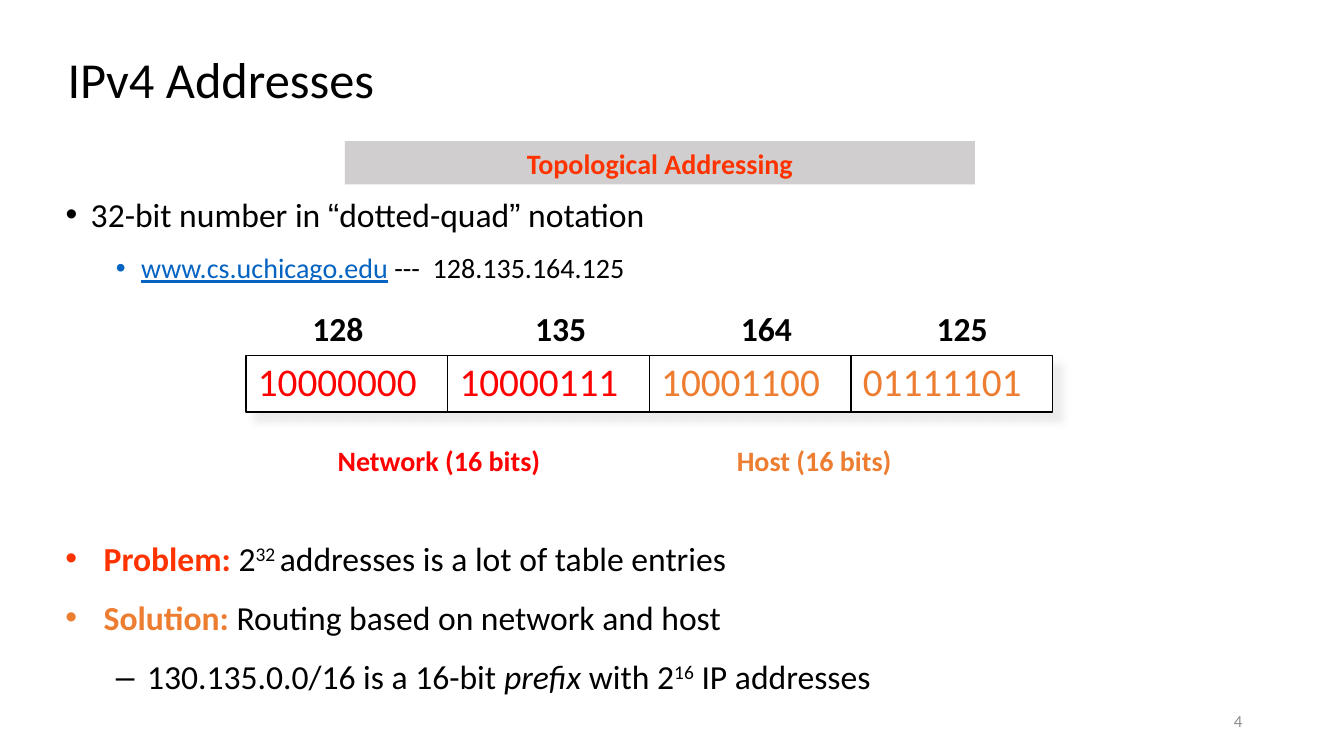
from lxml import etree
from pptx import Presentation
from pptx.dml.color import RGBColor
from pptx.enum.shapes import MSO_CONNECTOR, MSO_SHAPE
from pptx.enum.text import MSO_ANCHOR, MSO_AUTO_SIZE, PP_ALIGN
from pptx.oxml import parse_xml
from pptx.oxml.ns import qn
from pptx.util import Inches, Pt

LEFT, CENTER, RIGHT = PP_ALIGN.LEFT, PP_ALIGN.CENTER, PP_ALIGN.RIGHT
TOP, MIDDLE = MSO_ANCHOR.TOP, MSO_ANCHOR.MIDDLE
BLACK, RED, ORANGE, SCARLET, BLUE = "000000", "FF0000", "ED7D31", "FF3300", "0563C1"
GREY, WHITE, BANNER_FILL, SHADOW = "8C8C8C", "FFFFFF", "D0CECE", "E7E6E6"

# Content: a run is (text, format); a list item is
# (level, bullet, text indent, hanging, space before, size, runs)
TITLE = "IPv4 Addresses"
BANNER = "Topological Addressing"
SLIDE_NUMBER = "4"
NOTATION = [
    (0, "•", 0.25, 0.25, 0, 24, [
        ("32-bit number in ", {}), ("“", {"font": "Arial"}), ("dotted-quad", {}),
        ("”", {"font": "Arial"}), (" notation", {})]),
    (1, "•", 0.75, 0.25, 5, 20, [
        ("www.cs.uchicago.edu", {"color": BLUE, "underline": True}),
        (" ---  128.135.164.125", {})]),
]
ROUTING = [
    (0, "•", 0.38, 0.38, 0, 24, [
        ("Problem:", {"color": SCARLET, "bold": True}), (" 2", {}),
        ("32 ", {"raised": True}), ("addresses is a lot of table entries", {})]),
    (0, "•", 0.38, 0.38, 4.8, 24, [
        ("Solution:", {"color": ORANGE, "bold": True}),
        (" Routing based on network and host", {})]),
    (1, "–", 0.81, 0.31, 4.8, 24, [
        ("130.135.0.0/16 is a 16-bit ", {}), ("prefix", {"italic": True}),
        (" with 2", {}), ("16", {"raised": True}), (" IP addresses", {})]),
]
# Decimal value, its left edge, bits, colour of the bits
OCTETS = [
    ("128", 3.0, "10000000", RED),
    ("135", 5.21, "10000111", RED),
    ("164", 7.25, "10001100", ORANGE),
    ("125", 9.19, "01111101", ORANGE),
]
PARTS = [("Network (16 bits)", 3.25, 2.3, RED), ("Host (16 bits)", 7.21, 1.83, ORANGE)]

ROW_LEFT, ROW_TOP, ROW_HEIGHT, OCTET_WIDTH = 2.44, 3.53, 0.56, 2.0


def rgb(value):
    return RGBColor.from_string(value)


def add_run(paragraph, text, size, color=BLACK, font="Calibri", bold=False,
            italic=False, underline=False, raised=False):
    run = paragraph.add_run()
    run.text = text
    run.font.name, run.font.size = font, Pt(size)
    run.font.color.rgb = rgb(color)
    run.font.bold, run.font.italic, run.font.underline = bold, italic, underline
    if raised:
        run.font._element.set("baseline", "30000")


def place(shape, left, top, width, height):
    shape.left, shape.top = Inches(left), Inches(top)
    shape.width, shape.height = Inches(width), Inches(height)


def set_frame(shape, wrap=True, anchor=TOP):
    frame = shape.text_frame
    frame.auto_size = MSO_AUTO_SIZE.NONE
    frame.word_wrap, frame.vertical_anchor = wrap, anchor
    frame.margin_left = frame.margin_right = Inches(0.1)
    frame.margin_top = frame.margin_bottom = Inches(0.05)
    return frame


def add_label(box, text, size, color, align=LEFT, anchor=TOP, bold=False):
    shape = slide.shapes.add_textbox(*[Inches(length) for length in box])
    paragraph = set_frame(shape, False, anchor).paragraphs[0]
    paragraph.alignment = align
    add_run(paragraph, text, size, color, bold=bold)


def fill_list(shape, items):
    frame = set_frame(shape)
    for index, (level, bullet, indent, hanging, before, size, runs) in enumerate(items):
        paragraph = frame.add_paragraph() if index else frame.paragraphs[0]
        paragraph.level, paragraph.alignment = level, LEFT
        paragraph.line_spacing = 1.3
        paragraph.space_before, paragraph.space_after = Pt(before), Pt(0)
        properties = paragraph._p.get_or_add_pPr()
        properties.set("marL", str(Inches(indent)))
        properties.set("indent", str(-Inches(hanging)))
        etree.SubElement(properties, qn("a:buFont")).set("typeface", "Arial")
        etree.SubElement(properties, qn("a:buChar")).set("char", bullet)
        for text, style in runs:
            add_run(paragraph, text, size, **style)


def add_rectangle(box, fill):
    shape = slide.shapes.add_shape(MSO_SHAPE.RECTANGLE, *[Inches(length) for length in box])
    shape.shadow.inherit = False
    shape.fill.solid()
    shape.fill.fore_color.rgb = rgb(fill)
    return shape


presentation = Presentation()
presentation.slide_width, presentation.slide_height = Inches(13.33), Inches(7.5)
slide = presentation.slides.add_slide(presentation.slide_layouts[1])

# Title and first list
title, body = slide.placeholders
place(title, 0.57, 0.39, 11.5, 0.85)
heading = set_frame(title, anchor=MIDDLE).paragraphs[0]
heading.alignment, heading.line_spacing = LEFT, 0.9
add_run(heading, TITLE, 36)
place(body, 0.55, 1.75, 10.61, 1.25)
fill_list(body, NOTATION)

# Row of four octets with its soft shadow
row = add_rectangle((ROW_LEFT, ROW_TOP, OCTET_WIDTH * len(OCTETS), ROW_HEIGHT), WHITE)
row.line.color.rgb, row.line.width = rgb(BLACK), Pt(1)
row._element.spPr.find(qn("a:effectLst")).append(parse_xml(
    '<a:outerShdw xmlns:a="http://schemas.openxmlformats.org/drawingml/2006/main" '
    f'blurRad="{Pt(5)}" dist="{Pt(8.5)}" dir="2700000" algn="ctr" rotWithShape="0">'
    f'<a:srgbClr val="{SHADOW}"><a:alpha val="75000"/></a:srgbClr></a:outerShdw>'))

for index, (decimal, decimal_left, bits, color) in enumerate(OCTETS):
    left = ROW_LEFT + index * OCTET_WIDTH
    if index:
        divider = slide.shapes.add_connector(
            MSO_CONNECTOR.STRAIGHT, Inches(left), Inches(ROW_TOP),
            Inches(left), Inches(ROW_TOP + ROW_HEIGHT))
        divider.line.color.rgb, divider.line.width = rgb(BLACK), Pt(1)
        etree.SubElement(divider._element.spPr, qn("a:effectLst"))
    add_label((left + 0.02, 3.5, 1.8, 0.57), bits, 28, color)
    add_label((decimal_left, 3.01, 0.71, 0.5), decimal, 24, BLACK, bold=True)

# Network and host labels
for text, left, width, color in PARTS:
    add_label((left, 4.35, width, 0.46), text, 20, color, bold=True)

# Second list
routing = slide.shapes.add_textbox(Inches(0.55), Inches(5.17), Inches(11.11), Inches(1.9))
fill_list(routing, ROUTING)

# Banner and slide number
banner = add_rectangle((3.42, 1.4, 6.25, 0.43), BANNER_FILL)
banner.line.fill.background()
caption = set_frame(banner).paragraphs[0]
caption.alignment = CENTER
add_run(caption, BANNER, 20, SCARLET, bold=True)
add_label((9.42, 6.95, 3, 0.4), SLIDE_NUMBER, 12, GREY, RIGHT, MIDDLE)

presentation.save("out.pptx")
